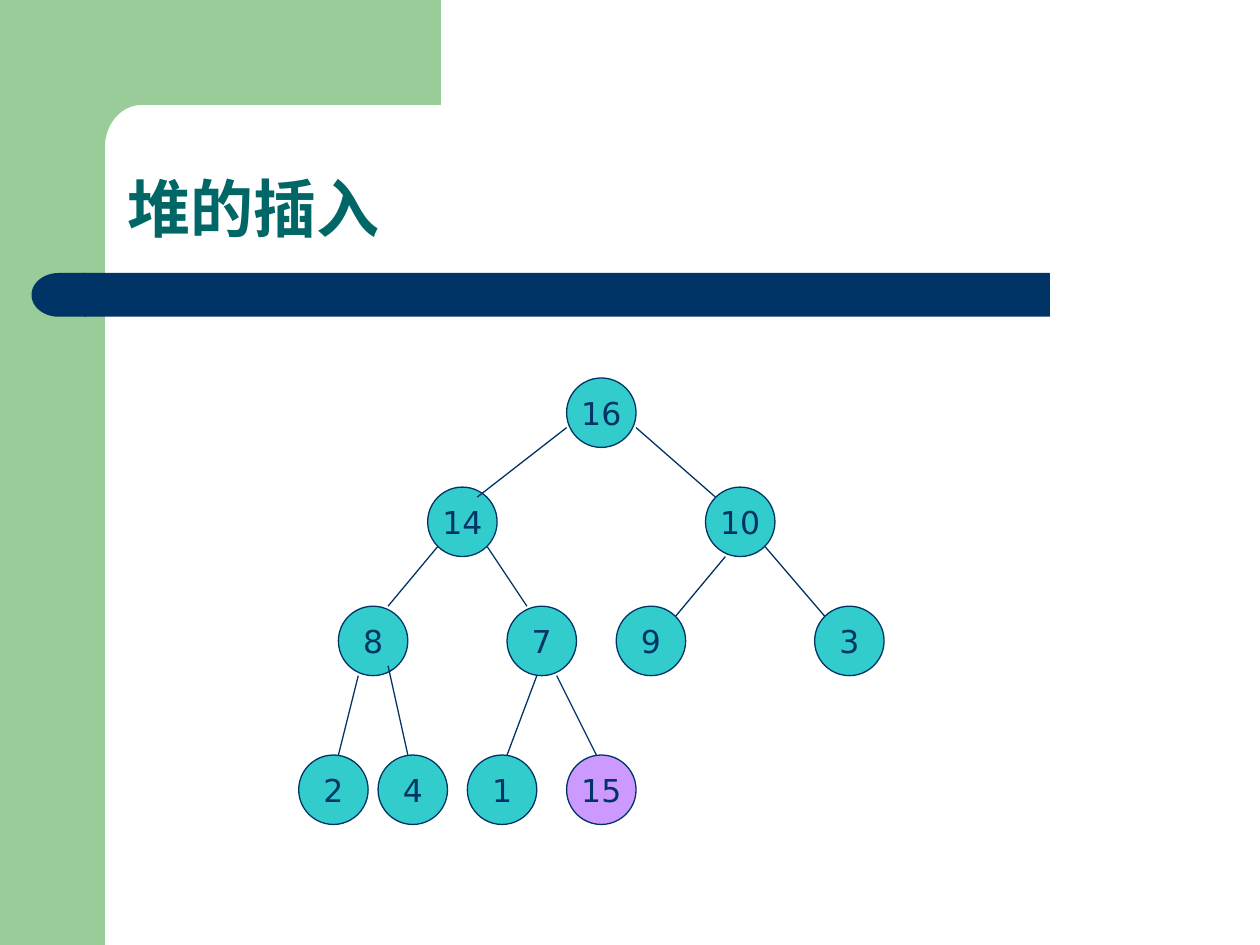
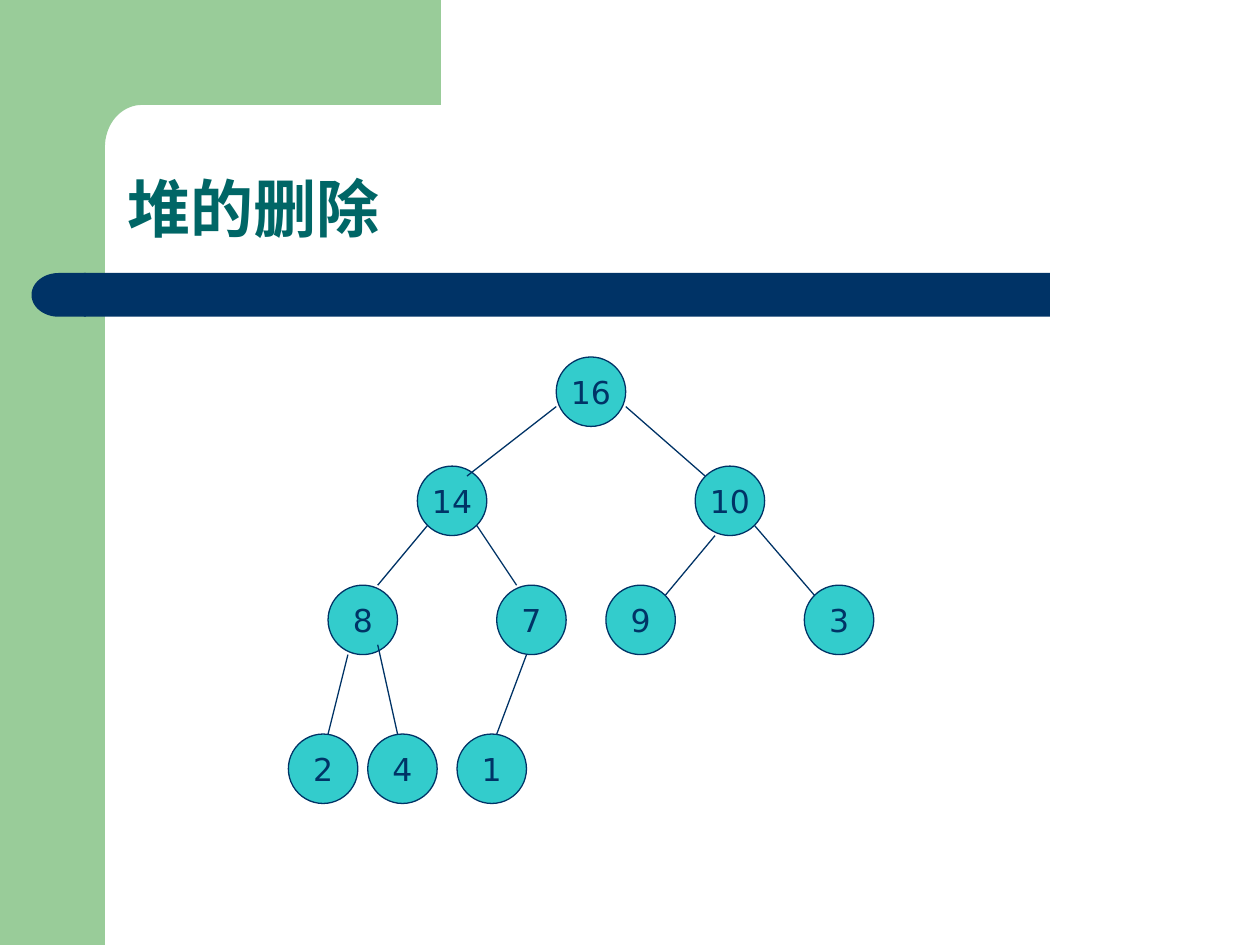
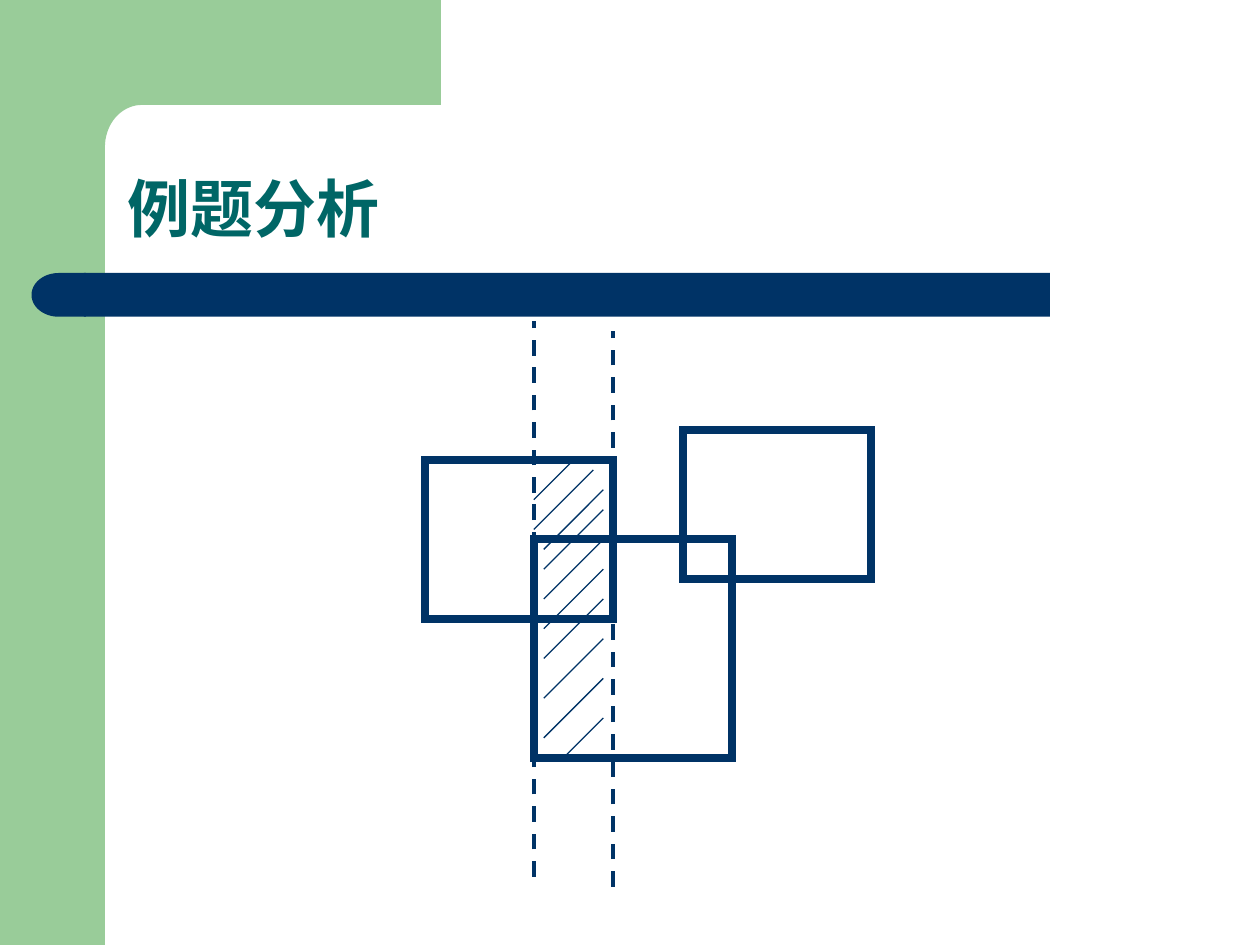
import math

from lxml import etree
from pptx import Presentation
from pptx.dml.color import RGBColor
from pptx.enum import dml, shapes, text
from pptx.oxml.ns import qn
from pptx.util import Pt

GREEN, NAVY, TITLE = "99CC99", "003366", "006666"
NODE, NEW_NODE = "33CCCC", "CC99FF"
STEP = 5.67  # drawing grid, in points
NODE_SIZE = 7  # in grid steps

# Heap nodes: value -> grid column and row
NODES = {
    "16": (27, 0),
    "14": (13, 11), "10": (41, 11),
    "8": (4, 23), "7": (21, 23), "9": (32, 23), "3": (52, 23),
    "2": (0, 38), "4": (8, 38), "1": (17, 38),
}
# Heap edges: start and end on the same grid
EDGES = [
    ((27, 5), (18, 12)), ((34, 5), (42, 12)),
    ((14, 17), (9, 23)), ((19, 17), (23, 23)),
    ((43, 18), (38, 24)), ((47, 17), (53, 24)),
    ((6, 30), (4, 38)), ((9, 29), (11, 38)), ((24, 30), (21, 38)),
]
INSERTED_NODE = ("15", (27, 38))
INSERTED_EDGE = ((26, 30), (30, 38))

# Overlapping rectangles: grid column, row, width, height
RECTANGLES = [(0, 14, 19, 16), (11, 22, 20, 22), (26, 11, 19, 15)]
# Sweep lines: grid column, top row
SWEEPS = [(11, 0), (19, 1)]
SWEEP_LENGTH = 56
# 45-degree hatching: right column, top row, run
HATCHES = [(15, 14, 4), (17, 15, 6)]
HATCHES += [(18, row, 6) for row in (17, 19, 22, 25, 28, 32, 36)]
HATCHES += [(18, 40, 4)]


def color(value):
    return RGBColor.from_string(value)


def paint(shape, fill=None, line=None, weight=0.75):
    shape.shadow.inherit = False
    if fill:
        shape.fill.solid()
        shape.fill.fore_color.rgb = color(fill)
    else:
        shape.fill.background()
    if line:
        shape.line.color.rgb = color(line)
        shape.line.width = Pt(weight)
    else:
        shape.line.fill.background()


def add_shape(page, kind, left, top, width, height, **style):
    shape = page.shapes.add_shape(kind, Pt(left), Pt(top), Pt(width), Pt(height))
    paint(shape, **style)
    return shape


def add_line(page, origin, start, end, weight=0.75, dash=None):
    """Draw a straight line between two grid points."""
    ends = [Pt(base + STEP * cell) for point in (start, end)
            for base, cell in zip(origin, point)]
    line = page.shapes.add_connector(shapes.MSO_CONNECTOR.STRAIGHT, *ends)
    line.line.color.rgb = color(NAVY)
    line.line.width = Pt(weight)
    if dash:
        line.line.dash_style = dash
    etree.SubElement(line._element.spPr, qn("a:effectLst"))


def write(box, words, font, size, hue, bold=False):
    box.text_frame.text = words
    para = box.text_frame.paragraphs[0]
    span = para.runs[0]
    span.font.name, span.font.size, span.font.bold = font, Pt(size), bold
    span.font.color.rgb = color(hue)
    return para


def add_frame(page):
    """Green side band with a rounded inner corner, and the navy bar."""
    add_shape(page, shapes.MSO_SHAPE.RECTANGLE, 0, 0, 60, 540, fill=GREEN)

    corner_x, corner_y, radius_x, radius_y = 81, 84, 21, 24
    angles = [math.radians(degree) for degree in range(0, 91, 5)]
    # Points are in hundredths, so that the arc stays smooth
    arc = [(100 * (corner_x - radius_x * math.sin(angle)),
            100 * (corner_y - radius_y * math.cos(angle))) for angle in angles]
    outline = page.shapes.build_freeform(25200, 0, scale=Pt(1) / 100)
    outline.add_line_segments(
        [(25200, 6000), *arc, (6000, 9200), (3600, 9200), (3600, 0)])
    paint(outline.convert_to_shape(), fill=GREEN)

    add_shape(page, shapes.MSO_SHAPE.RECTANGLE, 48, 156, 552, 25, fill=NAVY)
    cap = add_shape(page, shapes.MSO_SHAPE.FLOWCHART_DELAY, 18, 156, 31, 25, fill=NAVY)
    cap.rotation = 180


def add_title(page, words):
    box = page.shapes.add_textbox(Pt(65.5), Pt(65.5), Pt(612.7), Pt(78.5))
    box.text_frame.word_wrap = True
    box.text_frame.vertical_anchor = text.MSO_ANCHOR.BOTTOM
    para = write(box, words, "Arial", 36, TITLE, bold=True)
    para.line_spacing = 0.9


def add_node(page, origin, value, cell, fill):
    left, top = (base + STEP * part for base, part in zip(origin, cell))
    size = STEP * NODE_SIZE
    node = add_shape(page, shapes.MSO_SHAPE.OVAL, left, top, size, size,
                     fill=fill, line=NAVY)
    node.text_frame.word_wrap = False
    node.text_frame.vertical_anchor = text.MSO_ANCHOR.MIDDLE
    para = write(node, value, "DejaVu Sans", 18, NAVY)
    para.alignment = text.PP_ALIGN.CENTER


def add_heap(page, origin, inserted=False):
    """Heap tree whose box starts at origin."""
    for value, cell in NODES.items():
        add_node(page, origin, value, cell, NODE)
    for start, end in EDGES:
        add_line(page, origin, start, end)
    if inserted:
        add_node(page, origin, *INSERTED_NODE, NEW_NODE)
        add_line(page, origin, *INSERTED_EDGE)


def add_sweep_diagram(page, origin):
    """Overlapping rectangles, two sweep lines and the hatched strip."""
    for column, row, width, height in RECTANGLES:
        outline = add_shape(page, shapes.MSO_SHAPE.RECTANGLE,
                            origin[0] + STEP * column, origin[1] + STEP * row,
                            STEP * width, STEP * height, line=NAVY, weight=4.5)
        # Square corners
        border = outline._element.spPr.find(qn("a:ln"))
        etree.SubElement(border, qn("a:miter"), lim="800000")
    for column, row in SWEEPS:
        add_line(page, origin, (column, row + SWEEP_LENGTH), (column, row),
                 weight=2.25, dash=dml.MSO_LINE.DASH)
    for column, row, run in HATCHES:
        add_line(page, origin, (column, row), (column - run, row + run))


def add_page(deck, title):
    page = deck.slides.add_slide(deck.slide_layouts[6])
    add_frame(page)
    add_title(page, title)
    return page


def main():
    deck = Presentation()
    deck.slide_width, deck.slide_height = Pt(720), Pt(540)
    add_heap(add_page(deck, "堆的插入"), (170.7, 216), inserted=True)
    add_heap(add_page(deck, "堆的删除"), (164.8, 204))
    add_sweep_diagram(add_page(deck, "例题分析"), (242.7, 183.5))
    deck.save("out.pptx")


if __name__ == "__main__":
    main()
